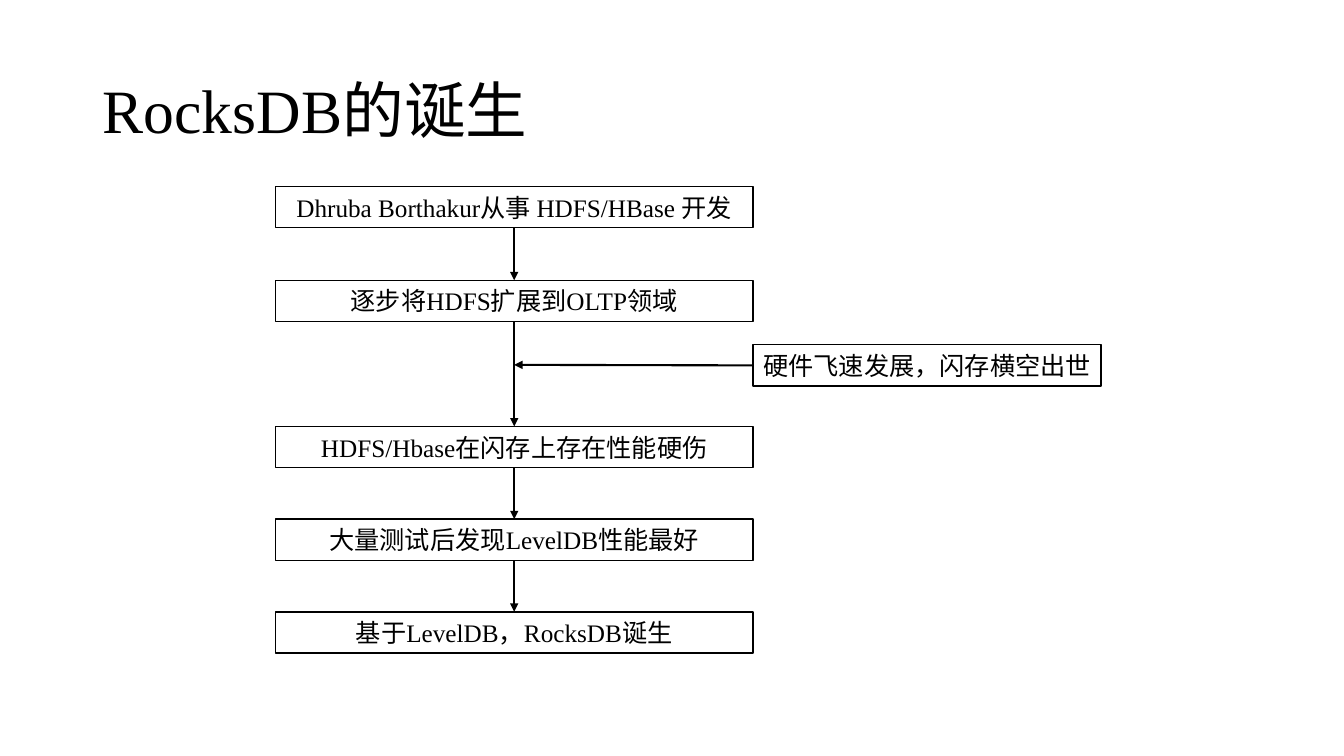
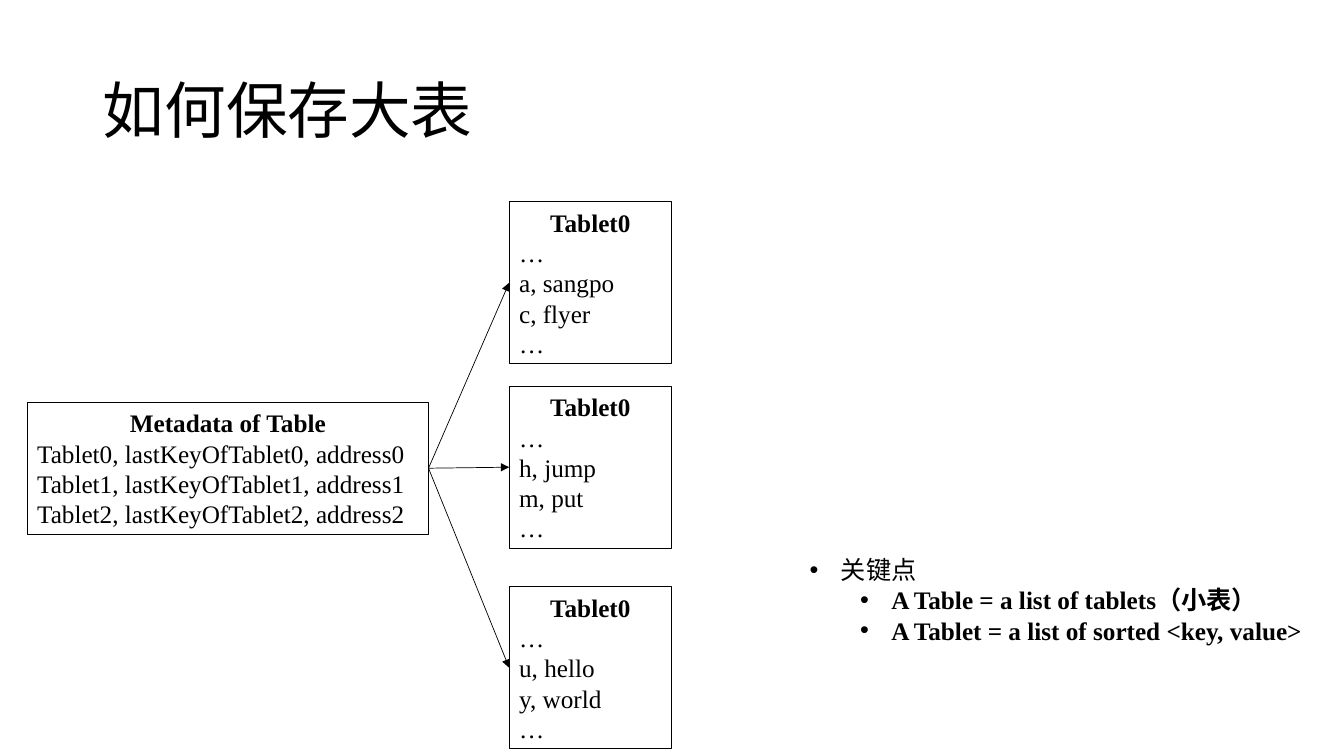
from dataclasses import dataclass

from lxml import etree
from pptx import Presentation
from pptx import util as u
from pptx.dml import color
from pptx.enum import shapes, text
from pptx.oxml import ns


@dataclass(frozen=True)
class Theme:
    ink: color.RGBColor = color.RGBColor(0, 0, 0)
    paper: color.RGBColor = color.RGBColor(255, 255, 255)
    font: str = "Times New Roman"
    title_size: int = 44
    body_size: int = 18
    line_height: float = 0.3
    box_padding: float = 0.11
    list_indent: float = 0.31
    level_step: float = 0.5


THEME = Theme()
LEFT, CENTER = text.PP_ALIGN.LEFT, text.PP_ALIGN.CENTER
TOP_SIDE, LEFT_SIDE, BOTTOM_SIDE, RIGHT_SIDE = range(4)


def write(para, words, size=THEME.body_size, bold=False, align=LEFT, spacing=1.0):
    para.alignment = align
    para.line_spacing = spacing
    para.space_before = u.Pt(0)
    span = para.add_run()
    span.text = words
    span.font.name = THEME.font
    span.font.size = u.Pt(size)
    span.font.bold = bold
    span.font.color.rgb = THEME.ink


def paragraphs(frame, count):
    return [frame.paragraphs[0]] + [frame.add_paragraph() for _ in range(count - 1)]


def place(shape, left, top, width, height):
    shape.left, shape.top = u.Inches(left), u.Inches(top)
    shape.width, shape.height = u.Inches(width), u.Inches(height)


def set_frame(frame, anchor):
    frame.word_wrap = True
    frame.auto_size = text.MSO_AUTO_SIZE.NONE
    frame.vertical_anchor = anchor


class SlideBuilder:
    def __init__(self, deck, theme):
        self.deck = deck
        self.theme = theme
        self.page = None

    def start(self, layout_name, title):
        layout = self.deck.slide_layouts.get_by_name(layout_name)
        self.page = self.deck.slides.add_slide(layout)
        box = self.page.shapes.title
        place(box, 0.92, 0.4, 11.5, 1.45)
        set_frame(box.text_frame, text.MSO_ANCHOR.MIDDLE)
        write(box.text_frame.paragraphs[0], title,
              size=self.theme.title_size, spacing=0.9)

    def bullets(self, left, top, width, height, items):
        body = self.page.placeholders[1]
        place(body, left, top, width, height)
        set_frame(body.text_frame, text.MSO_ANCHOR.TOP)
        indent = self.theme.list_indent
        for para, (level, words) in zip(paragraphs(body.text_frame, len(items)), items):
            para.level = level
            properties = para._p.get_or_add_pPr()
            properties.set("marL", str(u.Inches(indent + level * self.theme.level_step)))
            properties.set("indent", str(u.Inches(-indent)))
            font = etree.SubElement(properties, ns.qn("a:buFont"))
            font.set("typeface", "Arial")
            mark = etree.SubElement(properties, ns.qn("a:buChar"))
            mark.set("char", "•")
            write(para, words, bold=level > 0)

    def box(self, left, top, width, heading, rows=(), bold=False, fill=None, weight=0.75):
        lines = [heading, *rows]
        height = self.theme.box_padding + len(lines) * self.theme.line_height
        box = self.page.shapes.add_shape(
            shapes.MSO_SHAPE.RECTANGLE,
            u.Inches(left), u.Inches(top), u.Inches(width), u.Inches(height))
        box.shadow.inherit = False
        if fill is None:
            box.fill.background()
        else:
            box.fill.solid()
            box.fill.fore_color.rgb = fill
        box.line.color.rgb = self.theme.ink
        box.line.width = u.Pt(weight)
        set_frame(box.text_frame, text.MSO_ANCHOR.MIDDLE)
        first, *others = paragraphs(box.text_frame, len(lines))
        write(first, heading, bold=bold, align=CENTER)
        for para, words in zip(others, rows):
            write(para, words)
        return box

    def arrow(self, source, source_side, target=None, target_side=None,
              end=(0, 0), weight=1.5):
        arrow = self.page.shapes.add_connector(
            shapes.MSO_CONNECTOR.STRAIGHT, 0, 0, u.Inches(end[0]), u.Inches(end[1]))
        arrow.begin_connect(source, source_side)
        if target is not None:
            arrow.end_connect(target, target_side)
        arrow.line.color.rgb = self.theme.ink
        arrow.line.width = u.Pt(weight)
        head = etree.SubElement(arrow.get_or_add_ln(), ns.qn("a:tailEnd"))
        head.set("type", "triangle")
        etree.SubElement(arrow._element.spPr, ns.qn("a:effectLst"))


def build_history(builder):
    builder.start("Title Only", "RocksDB的诞生")
    left, width = 2.73, 4.74
    style = {"fill": THEME.paper, "weight": 1}
    steps = [
        (1.85, "Dhruba Borthakur从事 HDFS/HBase 开发"),
        (2.78, "逐步将HDFS扩展到OLTP领域"),
        (4.23, "HDFS/Hbase在闪存上存在性能硬伤"),
        (5.15, "大量测试后发现LevelDB性能最好"),
        (6.07, "基于LevelDB，RocksDB诞生"),
    ]
    boxes = [builder.box(left, top, width, words, **style) for top, words in steps]
    hardware = builder.box(left + width, 3.42, 3.45, "硬件飞速发展，闪存横空出世", **style)
    for upper, lower in zip(boxes, boxes[1:]):
        builder.arrow(upper, BOTTOM_SIDE, lower, TOP_SIDE)
    builder.arrow(hardware, LEFT_SIDE, end=(left + width / 2, 3.62))


def build_tablets(builder):
    builder.start("Title and Content", "如何保存大表")
    builder.bullets(7.93, 5.45, 5.28, 1.01, [
        (0, "关键点"),
        (1, "A Table = a list of tablets（小表）"),
        (1, "A Tablet = a list of sorted <key, value>"),
    ])
    rows = [f"Tablet{i}, lastKeyOfTablet{i}, address{i}" for i in range(3)]
    metadata = builder.box(0.27, 3.99, 3.98, "Metadata of Table", rows, bold=True)
    tablets = [
        (2, "a, sangpo", "c, flyer"),
        (3.83, "h, jump", "m, put"),
        (5.82, "u, hello", "y, world"),
    ]
    for top, *entries in tablets:
        tablet = builder.box(5.05, top, 1.61, "Tablet0", ["…", *entries, "…"], bold=True)
        builder.arrow(metadata, RIGHT_SIDE, tablet, LEFT_SIDE, weight=0.5)


def main():
    deck = Presentation()
    deck.slide_width, deck.slide_height = u.Inches(13.33), u.Inches(7.5)
    builder = SlideBuilder(deck, THEME)
    build_history(builder)
    build_tablets(builder)
    deck.save("out.pptx")


if __name__ == "__main__":
    main()
